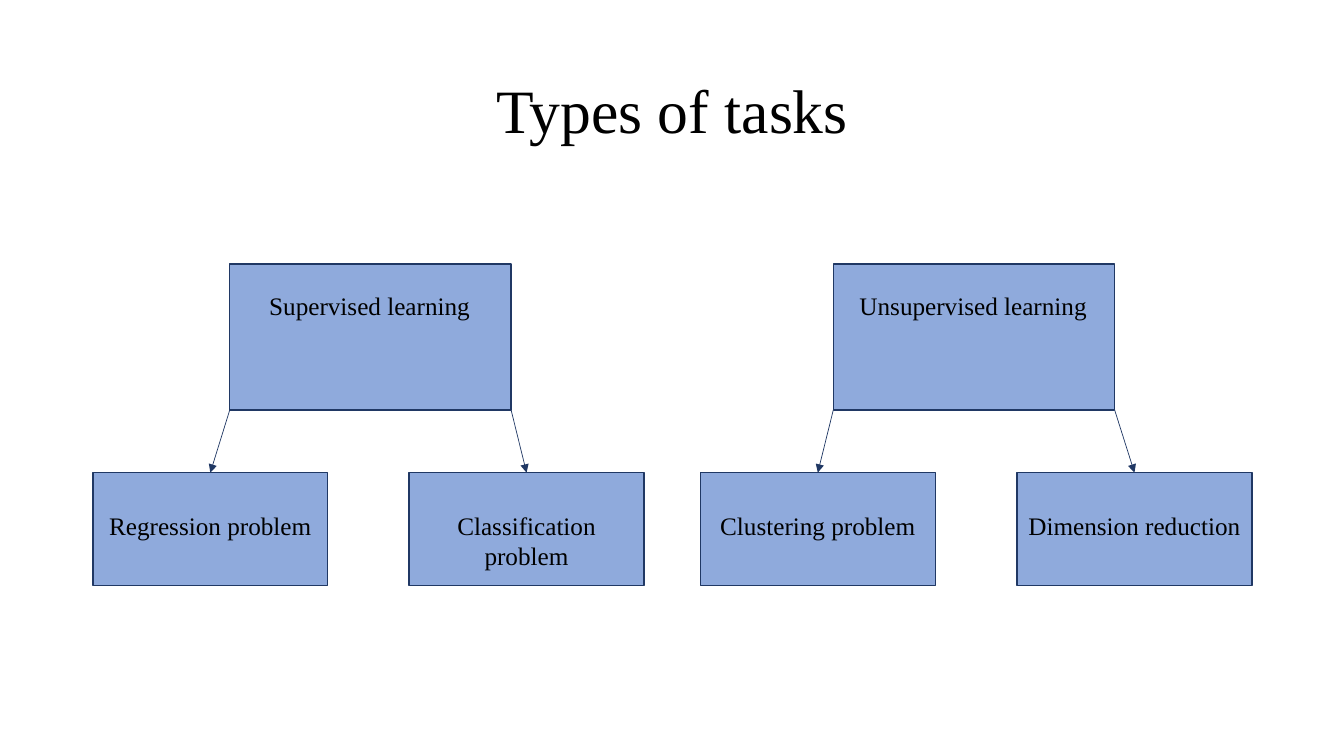
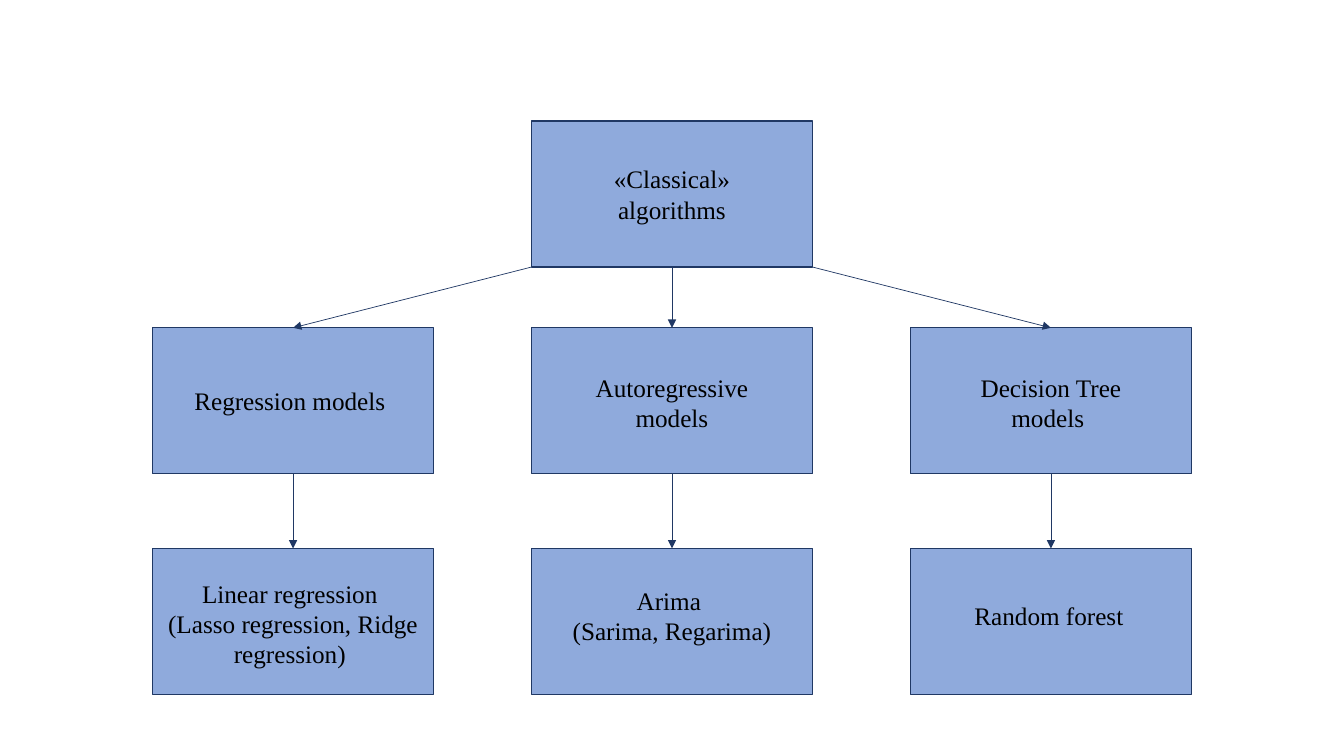
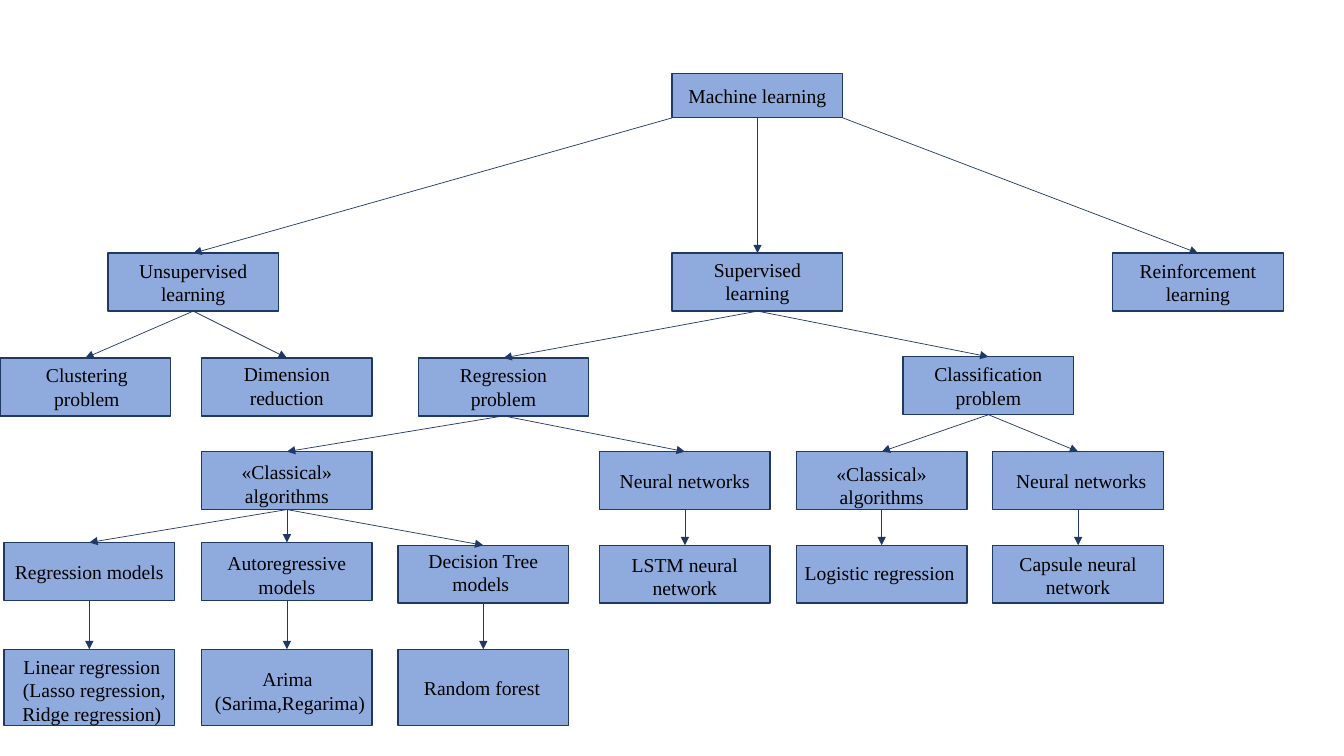
from pptx import Presentation
from pptx.dml.color import RGBColor
from pptx.enum.shapes import MSO_CONNECTOR, MSO_SHAPE
from pptx.enum.text import MSO_ANCHOR, MSO_AUTO_SIZE, PP_ALIGN
from pptx.oxml.ns import qn
from pptx.util import Cm, Pt
from lxml.etree import SubElement


def tint(code):
    """Turn a hex string into a colour."""
    return RGBColor.from_string(code)


class Deck:
    """Hold the style and the current slide."""

    FONT = "Times New Roman"
    INK, FILL, EDGE = "000000", "8FAADC", "203864"

    def __init__(self):
        """Open a wide, empty deck."""
        self.prs = Presentation()
        self.prs.slide_width, self.prs.slide_height = Cm(33.87), Cm(19.05)

    def page(self, size, title=None):
        """Start a slide with a label size and an optional title."""
        layout = self.prs.slide_layouts[5 if title else 6]
        self.slide, self.size = self.prs.slides.add_slide(layout), size
        if title:
            head = self.slide.shapes.title
            head.left, head.top = Cm(2.34), Cm(1.02)
            head.width, head.height = Cm(29.21), Cm(3.68)
            self.words(head.text_frame, title, 44)
            head.text_frame.vertical_anchor = MSO_ANCHOR.MIDDLE
            head.text_frame.paragraphs[0].line_spacing = 0.9

    def words(self, frame, text, size):
        """Fill a frame with centred text."""
        frame.text = text
        frame.word_wrap = True
        for para in frame.paragraphs:
            para.alignment = PP_ALIGN.CENTER
            for run in para.runs:
                run.font.name, run.font.size = self.FONT, Pt(size)
                run.font.color.rgb = tint(self.INK)

    def label(self, text, x, y, w, h):
        """Add a text box that fits its text."""
        frame = self.slide.shapes.add_textbox(Cm(x), Cm(y), Cm(w), Cm(h)).text_frame
        self.words(frame, text, self.size)
        frame.auto_size = MSO_AUTO_SIZE.SHAPE_TO_FIT_TEXT

    def box(self, text, x, y, w, h, lines=1, dy=0, dx=0, pad=0):
        """Add a box with a label centred on it, then shifted by dx and dy."""
        rect = self.slide.shapes.add_shape(
            MSO_SHAPE.RECTANGLE, Cm(x), Cm(y), Cm(w), Cm(h))
        rect.shadow.inherit = False
        rect.fill.solid()
        rect.fill.fore_color.rgb = tint(self.FILL)
        rect.line.color.rgb = tint(self.EDGE)
        rect.line.width = Pt(1)
        tall = 0.25 + lines * Pt(self.size * 1.2).cm
        self.label(text, x + pad + dx, y + (h - tall) / 2 + dy, w - 2 * pad, tall)
        return rect

    def link(self, start, end, side=0.5):
        """Draw an arrow from a point along one box's bottom to another's top."""
        line = self.slide.shapes.add_connector(
            MSO_CONNECTOR.STRAIGHT,
            start.left + int(start.width * side), start.top + start.height,
            end.left + end.width // 2, end.top)
        if side == 0.5:
            line.begin_connect(start, 2)
        line.end_connect(end, 0)
        line.line.color.rgb = tint(self.EDGE)
        line.line.width = Pt(0.5)
        props = line._element.spPr
        SubElement(props.find(qn("a:ln")), qn("a:tailEnd"), type="triangle")
        SubElement(props, qn("a:effectLst"))


def tasks(deck):
    """Build the types of tasks."""
    deck.page(18, "Types of tasks")
    groups = [
        ("Supervised learning", 5.79,
         [("Regression problem", 2.34, 1, -0.1),
          ("Classification problem", 10.31, 2, 0.29)]),
        ("Unsupervised learning", 21,
         [("Clustering problem", 17.65, 1, -0.1),
          ("Dimension reduction", 25.63, 1, -0.1)]),
    ]
    for name, x, kids in groups:
        top = deck.box(name, x, 6.65, 7.09, 3.68, dy=-0.8, dx=-0.02)
        for side, (text, left, lines, dy) in enumerate(kids):
            kid = deck.box(text, left, 11.91, 5.92, 2.84, lines, dy)
            deck.link(top, kid, side)


def classic(deck):
    """Build the classical algorithms."""
    deck.page(18)
    size, pad = (7.09, 3.68), 0.58
    left, step = 3.84, 9.55
    root = deck.box("«Classical»\nalgorithms", left + step, 3.05, *size, 2, pad=pad)
    pairs = [
        (("Regression models ", 1, 0, 0, pad),
         ("Linear regression \n(Lasso regression, Ridge regression) ", 3, 0.05)),
        (("Autoregressive models", 2, 0.04, 0, pad),
         ("Arima \n(Sarima, Regarima)", 2, -0.15)),
        (("Decision Tree models ", 2, 0.04, 0, pad),
         ("Random forest", 1, -0.15, -0.05, pad)),
    ]
    for col, (model, case) in enumerate(pairs):
        x = left + col * step
        mid = deck.box(model[0], x, 8.26, *size, *model[1:])
        low = deck.box(case[0], x, 13.82, *size, *case[1:])
        deck.link(root, mid, col / 2)
        deck.link(mid, low)


def tree(deck):
    """Build the map of machine learning."""
    deck.page(14)
    wide, high = 4.3, 1.46
    cols = [0.1, 5.08, 10.03, 15.11, 20.07, 25.02]
    algos = "«Classical»\nalgorithms"
    nodes = {
        "root": ("Machine learning", 16.94, 1.85, 1.12),
        "unsup": ("Unsupervised learning", 2.72, 6.38, high, 2),
        "sup": ("Supervised learning", 16.94, 6.38, high, 2, -0.03),
        "reinf": ("Reinforcement learning", 28.04, 6.38, high, 2),
        "clust": ("Clustering problem", 0, 9.02, high, 2, 0, 0.04),
        "dim": ("Dimension reduction", cols[1], 9.02, high, 2, -0.03),
        "regr": ("Regression problem", 10.54, 9.02, high, 2),
        "class": ("Classification problem", 22.76, 8.99, high, 2),
        "old": (algos, cols[1], 11.38, high, 2, 0.08),
        "net": ("Neural networks", cols[3], 11.38, high),
        "old2": (algos, cols[4], 11.38, high, 2, 0.12),
        "net2": ("Neural networks", cols[5], 11.38, high, 1, 0, 0.08),
        "model": ("Regression models ", cols[0], 13.67, high),
        "auto": ("Autoregressive models", cols[1], 13.67, high, 2, 0.08),
        "fork": ("Decision Tree models ", cols[2], 13.74, high, 2, -0.05),
        "lstm": ("LSTM neural network", cols[3], 13.74, high, 2, 0.05),
        "logit": ("Logistic regression", cols[4], 13.74, high, 1, -0.04, -0.05),
        "caps": ("Capsule neural network", cols[5], 13.74, high, 2, 0.03),
        "line": ("Linear regression \n(Lasso regression, Ridge regression) ",
                 cols[0], 16.36, 1.92, 3, 0.06, 0.13),
        "arima": ("Arima \n(Sarima,Regarima)", cols[1], 16.36, 1.92, 2, 0.08, 0.08),
        "wood": ("Random forest", cols[2], 16.36, 1.92, 1, 0, -0.03),
    }
    boxes = {key: deck.box(text, x, y, wide, *rest)
             for key, (text, x, y, *rest) in nodes.items()}
    for side, key in enumerate(["unsup", "sup", "reinf"]):
        deck.link(boxes["root"], boxes[key], side / 2)
    kids = {
        "unsup": ["clust", "dim"],
        "sup": ["regr", "class"],
        "regr": ["old", "net"],
        "class": ["old2", "net2"],
        "old": ["model", "auto", "fork"],
        "net": ["lstm"],
        "old2": ["logit"],
        "net2": ["caps"],
        "model": ["line"],
        "auto": ["arima"],
        "fork": ["wood"],
    }
    for key, ends in kids.items():
        for end in ends:
            deck.link(boxes[key], boxes[end])


def main():
    """Build and save the deck."""
    deck = Deck()
    for build in (tasks, classic, tree):
        build(deck)
    deck.prs.save("out.pptx")


if __name__ == "__main__":
    main()
